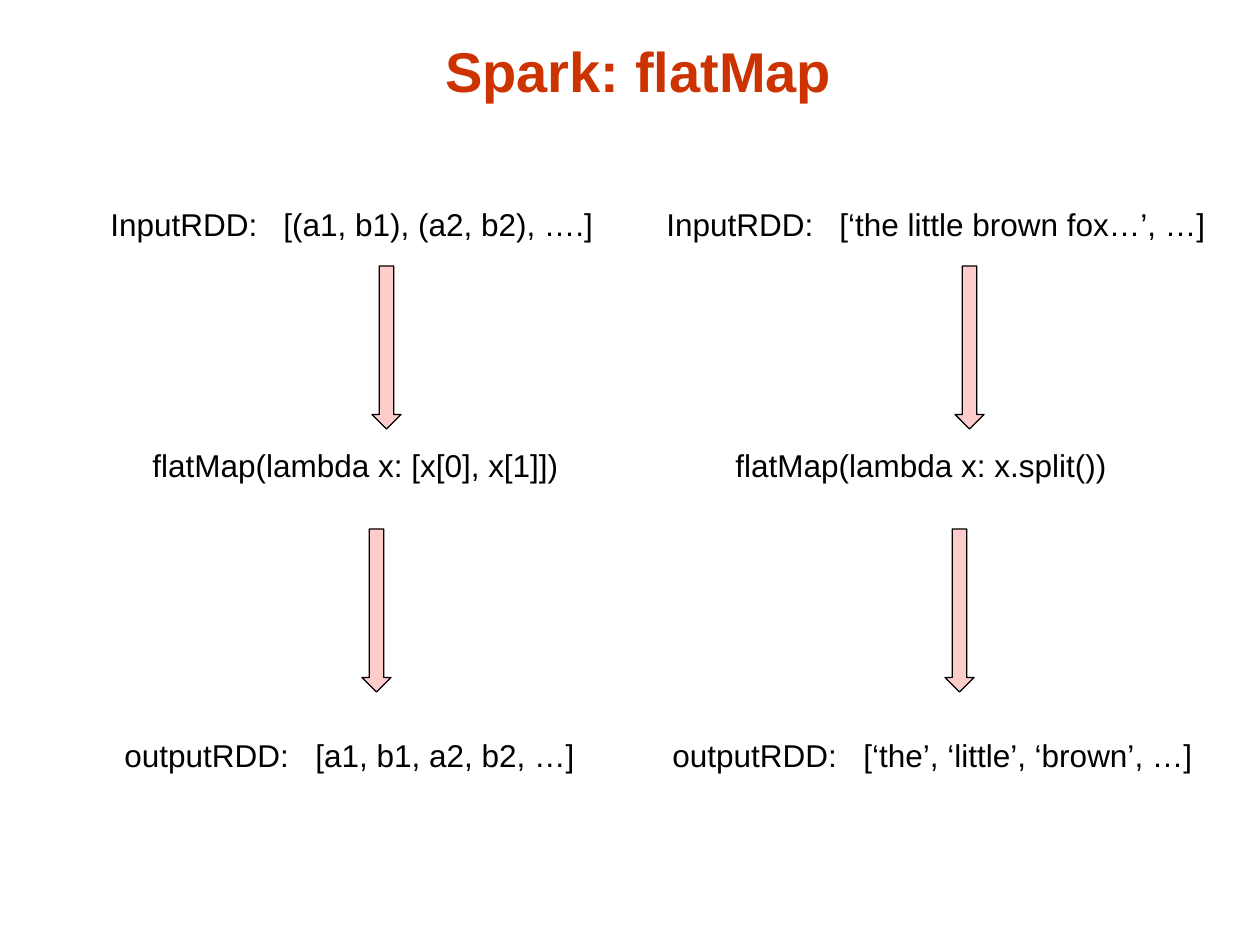
from lxml.etree import SubElement
from pptx import Presentation
from pptx.dml.color import RGBColor
from pptx.enum.shapes import MSO_SHAPE as Preset
from pptx.enum.text import MSO_ANCHOR as Anchor, MSO_AUTO_SIZE as AutoSize, PP_ALIGN as Align
from pptx.oxml.ns import qn
from pptx.util import Inches, Pt

COLORS = {"title": "CC3300", "text": "000000", "arrow": "FFCCCC", "outline": "000000"}
FORMATS = {
    "title": {"name": "Arial", "size": Pt(32), "bold": True},
    "text": {"name": "Arial", "size": Pt(18), "bold": False},
}
PIXELS_PER_INCH = 126
ROW_TOPS = (199, 440, 730)
TAB_STOPS = (173, None, 191)
ARROWS = ((274, 266), (264, 529))
LEFT_ROWS = (
    ("InputRDD:\t[(a1, b1), (a2, b2), ….]", 0, 519),
    ("flatMap(lambda x: [x[0], x[1]])", 42, 442),
    ("outputRDD:\t[a1, b1, a2, b2, …]", 14, 486),
)
RIGHT_ROWS = (
    ("InputRDD:\t[‘the little brown fox…’, …]", -27, 576),
    ("flatMap(lambda x: x.split())", 42, 407),
    ("outputRDD:\t[‘the’, ‘little’, ‘brown’, …]", -21, 557),
)


def px(length):
    """Turn pixels into EMU."""
    return Inches(length / PIXELS_PER_INCH)


def format_font(font, style):
    """Apply a named style and its colour to a font."""
    for attribute, value in FORMATS[style].items():
        setattr(font, attribute, value)
    font.color.rgb = RGBColor.from_string(COLORS[style])


def add_title(slide, text, left, top, width, height):
    """Place and format the title placeholder."""
    title = slide.shapes.title
    box = {"left": left, "top": top, "width": width, "height": height}
    for attribute, value in box.items():
        setattr(title, attribute, px(value))
    frame = title.text_frame
    frame.text = text
    frame.auto_size = AutoSize.NONE
    frame.vertical_anchor = Anchor.BOTTOM
    paragraph = frame.paragraphs[0]
    paragraph.alignment = Align.CENTER
    format_font(paragraph.runs[0].font, "title")


def add_line(shapes, text, left, top, width, tab_stop):
    """Add one line of text, with its value at the tab stop if there is one."""
    frame = shapes.add_textbox(px(left), px(top), px(width), px(50)).text_frame
    frame.word_wrap = True
    paragraph = frame.paragraphs[0]
    paragraph.text = text
    paragraph.alignment = Align.LEFT
    if tab_stop:
        tabs = SubElement(paragraph._p.get_or_add_pPr(), qn("a:tabLst"))
        SubElement(tabs, qn("a:tab"), pos=str(px(tab_stop)), algn="l")
    format_font(paragraph.runs[0].font, "text")


def add_arrow(shapes, left, top):
    """Add a block arrow that points down."""
    arrow = shapes.add_shape(Preset.DOWN_ARROW, px(left), px(top), px(29), px(163))
    arrow.shadow.inherit = False
    arrow.fill.solid()
    arrow.fill.fore_color.rgb = RGBColor.from_string(COLORS["arrow"])
    arrow.line.color.rgb = RGBColor.from_string(COLORS["outline"])
    arrow.line.width = Pt(0.75)


def add_flow(shapes, rows, left):
    """Add a column from input to output, relative to its left edge."""
    for (text, offset, width), top, tab_stop in zip(rows, ROW_TOPS, TAB_STOPS):
        add_line(shapes, text, left + offset, top, width, tab_stop)
    for offset, top in ARROWS:
        add_arrow(shapes, left + offset, top)


def main():
    """Build and save the presentation."""
    presentation = Presentation()
    presentation.slide_width = Inches(10)
    presentation.slide_height = Inches(7.5)
    slide = presentation.slides.add_slide(presentation.slide_layouts[5])
    add_title(slide, "Spark: flatMap", 82, 26, 1113, 84)
    add_flow(slide.shapes, LEFT_ROWS, 98)
    add_flow(slide.shapes.add_group_shape().shapes, RIGHT_ROWS, 681)
    presentation.save("out.pptx")


if __name__ == "__main__":
    main()
